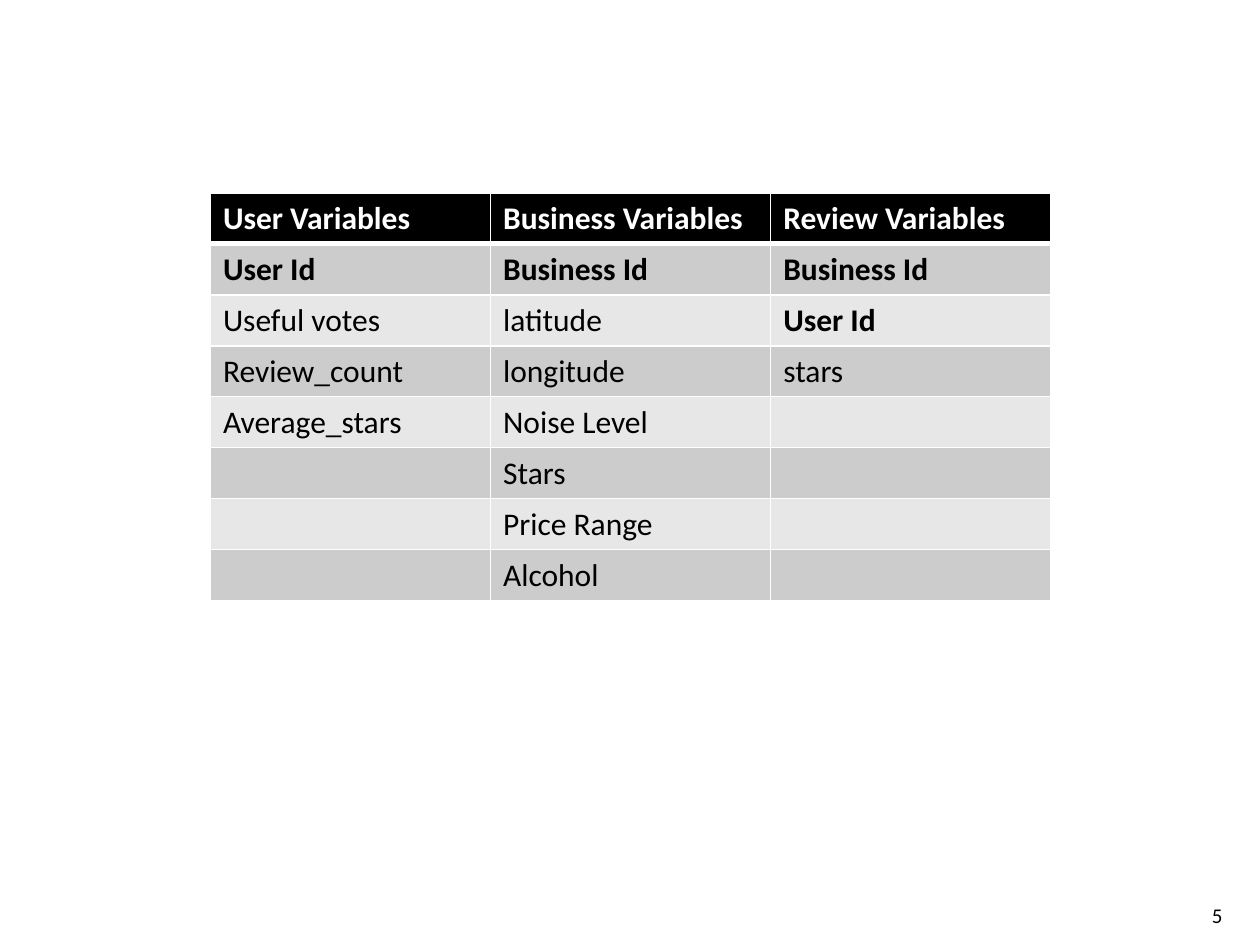
from lxml import etree
from pptx import Presentation
from pptx import util as u
from pptx.dml import color
from pptx.enum import text
from pptx.oxml import ns

COLORS = {"black": "000000", "white": "FFFFFF", "dark_band": "CCCCCC", "light_band": "E7E7E7"}


def add_text(paragraph, words, size, color_name, bold=False):
    run = paragraph.add_run()
    run.text = words
    run.font.name = "Calibri"
    run.font.size = u.Pt(size)
    run.font.bold = bold
    run.font.color.rgb = color.RGBColor.from_string(COLORS[color_name])


def add_border(cell, side, points):
    line = etree.SubElement(cell._tc.get_or_add_tcPr(), ns.qn(f"a:{side}"), w=str(u.Pt(points)))
    fill = etree.SubElement(line, ns.qn("a:solidFill"))
    etree.SubElement(fill, ns.qn("a:srgbClr"), val=COLORS["white"])


deck = Presentation()
deck.slide_width, deck.slide_height = u.Inches(10), u.Inches(7.5)
slide = deck.slides.add_slide(deck.slide_layouts[6])

# Page number
page_number = slide.shapes.add_textbox(u.Inches(9.52), u.Inches(7.14), u.Inches(0.4), u.Inches(0.24))
page_number.text_frame.word_wrap = True
page_number.text_frame.vertical_anchor = text.MSO_ANCHOR.MIDDLE
add_text(page_number.text_frame.paragraphs[0], "5", 12, "black")

# Variables of each data set, with the key fields in bold
variables = [
    ["User Variables", "Business Variables", "Review Variables"],
    ["User Id", "Business Id", "Business Id"],
    ["Useful votes", "latitude", "User Id"],
    ["Review_count", "longitude", "stars"],
    ["Average_stars", "Noise Level", ""],
    ["", "Stars", ""],
    ["", "Price Range", ""],
    ["", "Alcohol", ""],
]
key_fields = {"User Id", "Business Id"}

table = slide.shapes.add_table(len(variables), len(variables[0]), u.Inches(1.67), u.Inches(1.53),
                               u.Inches(6.67), u.Inches(3.24)).table
for row, names in enumerate(variables):
    header = row == 0
    band = "black" if header else "dark_band" if row % 2 else "light_band"
    for column, name in enumerate(names):
        cell = table.cell(row, column)
        # Thin white rules, with a thick one under the header
        for side in ("lnL", "lnR", "lnT", "lnB"):
            under_header = (row, side) in {(0, "lnB"), (1, "lnT")}
            add_border(cell, side, 3 if under_header else 1)
        cell.fill.solid()
        cell.fill.fore_color.rgb = color.RGBColor.from_string(COLORS[band])
        if name:
            add_text(cell.text_frame.paragraphs[0], name, 18,
                     "white" if header else "black", header or name in key_fields)

deck.save("out.pptx")
